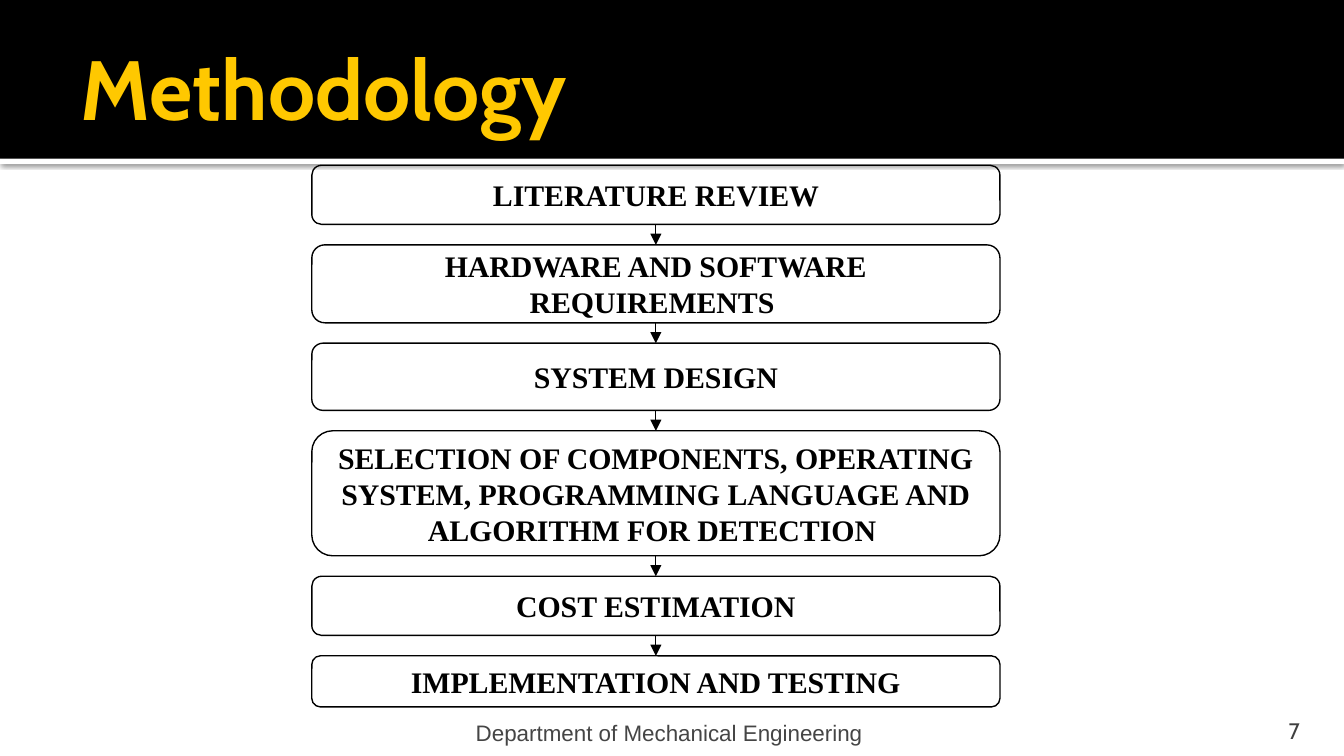
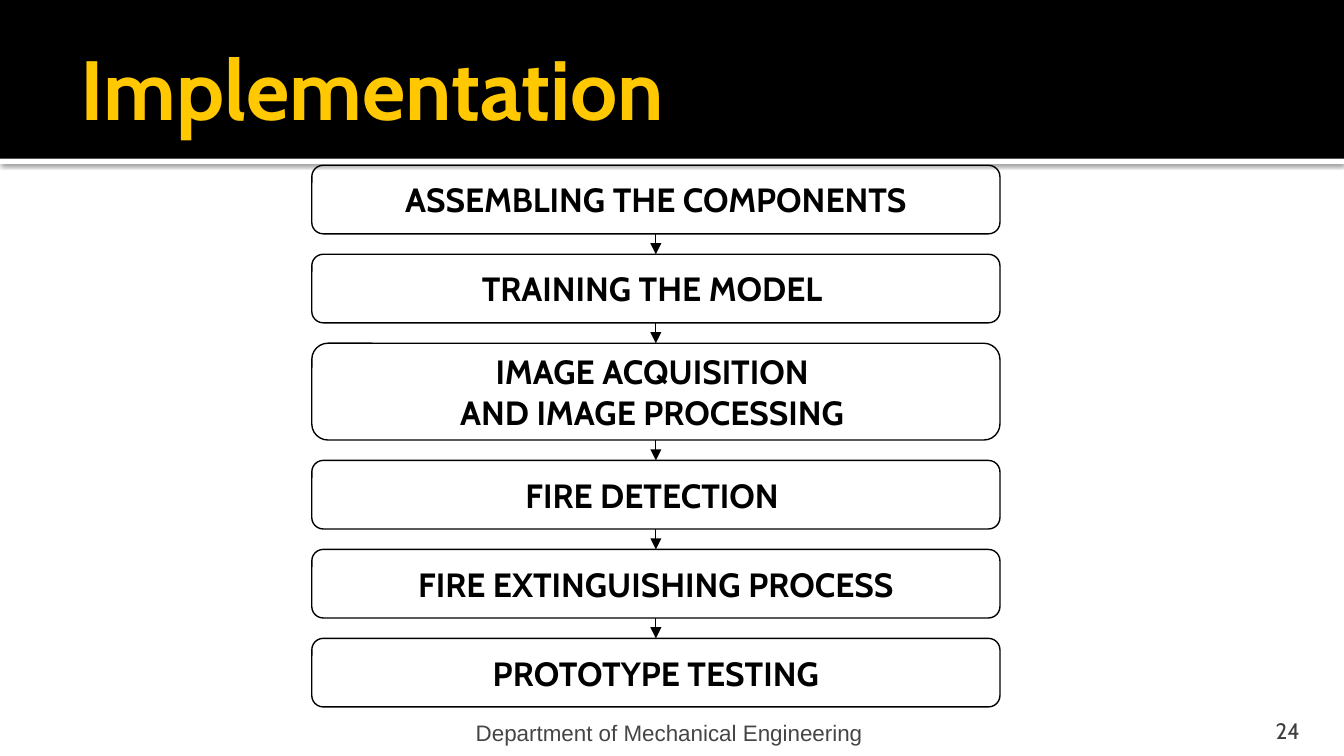
import pptx
import pptx.util
import pptx.dml.color
import pptx.enum.shapes
import pptx.enum.text
import pptx.oxml
import pptx.oxml.ns

Inches, Pt = pptx.util.Inches, pptx.util.Pt
SHAPE = pptx.enum.shapes.MSO_SHAPE
ALIGN = pptx.enum.text.PP_ALIGN
ANCHOR = pptx.enum.text.MSO_ANCHOR
qn = pptx.oxml.ns.qn

# Content: each step is (text, box height)
SLIDES = [
    {"title": "Methodology", "number": "7", "font": "Times New Roman", "size": 16,
     "steps": [(" LITERATURE REVIEW ", 0.44),
               ("HARDWARE AND SOFTWARE REQUIREMENTS ", 0.58),
               ("SYSTEM DESIGN", 0.5),
               ("SELECTION OF COMPONENTS, OPERATING SYSTEM, PROGRAMMING "
                "LANGUAGE AND ALGORITHM FOR DETECTION ", 0.93),
               (" COST ESTIMATION ", 0.44),
               (" IMPLEMENTATION AND TESTING ", 0.38)]},
    {"title": "Implementation", "number": "24", "font": "Cabin", "size": 18,
     "steps": [(" ASSEMBLING THE COMPONENTS ", 0.51),
               ("TRAINING THE MODEL ", 0.51),
               ("IMAGE ACQUISITION \nAND IMAGE PROCESSING ", 0.72),
               ("FIRE DETECTION ", 0.51),
               (" FIRE EXTINGUISHING PROCESS ", 0.51),
               (" PROTOTYPE TESTING ", 0.51)]},
]
FOOTER = "Department of Mechanical Engineering"

# Shared style
BLACK, WHITE, YELLOW = "000000", "FFFFFF", "FFC800"
NUMBER_GREY, FOOTER_GREY = "3F3F3F", "454545"
BAND_H, STRIP_H = 1.18, 0.04
FLOW_LEFT, FLOW_W, FLOW_TOP, FLOW_BOTTOM = 2.32, 5.12, 1.23, 5.26


def rgb(color):
    return pptx.dml.color.RGBColor.from_string(color)


def xml(body):
    return pptx.oxml.parse_xml(body.replace(">", f" {pptx.oxml.ns.nsdecls('a')}>", 1))


def set_text(sp, text, font, size, color, bold=False, align=ALIGN.LEFT,
             anchor=ANCHOR.MIDDLE, insets=(0.1, 0.05, 0.1, 0.05)):
    tf = sp.text_frame
    tf.text = text
    tf.word_wrap = True
    tf.auto_size = pptx.enum.text.MSO_AUTO_SIZE.NONE
    tf.vertical_anchor = anchor
    tf.margin_left, tf.margin_top, tf.margin_right, tf.margin_bottom = map(Inches, insets)
    for p in tf.paragraphs:
        p.alignment = align
        for r in p.runs:
            r.font.name, r.font.size, r.font.bold = font, Pt(size), bold
            r.font.color.rgb = rgb(color)


def add_bands(prs, s):
    """Draw the header bands and move them to the slide master."""
    bands = [(BAND_H, STRIP_H, WHITE), (0, BAND_H, BLACK)]
    for i, (top, height, color) in enumerate(bands):
        sp = s.shapes.add_shape(SHAPE.RECTANGLE, 0, Inches(top), prs.slide_width, Inches(height))
        sp.fill.solid()
        sp.fill.fore_color.rgb = rgb(color)
        sp.line.fill.background()
        sp.shadow.inherit = False
        if color == WHITE:
            sp.element.spPr.find(qn("a:effectLst")).append(xml(
                f'<a:outerShdw blurRad="{Pt(2.5)}" dist="{Pt(0.8)}" dir="5400000">'
                f'<a:srgbClr val="{BLACK}"><a:alpha val="60000"/></a:srgbClr></a:outerShdw>'))
        sp.element.nvSpPr.cNvPr.set("id", str(101 + i))
        prs.slide_master.shapes.element.insert(2 + i, sp.element)


def add_box(s, text, top, height, font, size):
    sp = s.shapes.add_shape(SHAPE.ROUNDED_RECTANGLE, Inches(FLOW_LEFT), Inches(top),
                            Inches(FLOW_W), Inches(height))
    sp.fill.background()
    sp.line.color.rgb = rgb(BLACK)
    sp.line.width = Pt(0.75)
    sp.shadow.inherit = False
    set_text(sp, text, font, size, BLACK, bold=True, align=ALIGN.CENTER)


def add_arrow(s, top, bottom):
    x = Inches(FLOW_LEFT + FLOW_W / 2)
    c = s.shapes.add_connector(pptx.enum.shapes.MSO_CONNECTOR.STRAIGHT,
                               x, Inches(top), x, Inches(bottom))
    c.line.color.rgb = rgb(BLACK)
    c.line.width = Pt(0.5)
    c.element.spPr.find(qn("a:ln")).append(xml('<a:tailEnd type="triangle"></a:tailEnd>'))
    c.element.spPr.append(xml("<a:effectLst></a:effectLst>"))


def add_flow(s, steps, font, size):
    """Stack the boxes with equal gaps and join them with arrows."""
    gap = (FLOW_BOTTOM - FLOW_TOP - sum(h for _, h in steps)) / (len(steps) - 1)
    top = FLOW_TOP
    for i, (text, height) in enumerate(steps):
        if i:
            add_arrow(s, top - gap, top)
        add_box(s, text, top, height, font, size)
        top += height + gap


def add_note(s, box, text, font, color, align, side):
    sp = s.shapes.add_textbox(*map(Inches, box))
    set_text(sp, text, font, 12, color, align=align, anchor=ANCHOR.BOTTOM,
             insets=(side, 0.05, side, 0))


def main():
    prs = pptx.Presentation()
    prs.slide_width = Inches(10)
    prs.slide_height = prs.slide_width * 9 // 16
    for i, data in enumerate(SLIDES):
        s = prs.slides.add_slide(prs.slide_layouts[5])
        if i == 0:
            add_bands(prs, s)

        # Title
        title = s.shapes.title
        title.left, title.top, title.width, title.height = map(Inches, (0.5, 0.13, 9, 1.03))
        set_text(title, data["title"], "Cabin", 45, YELLOW, bold=True,
                 insets=(0.1, 0.05, 0.05, 0.05))

        # Flow chart
        add_flow(s, data["steps"], data["font"], data["size"])

        # Slide number and footer
        add_note(s, (8.97, 5.31, 0.8, 0.23), data["number"], "Cabin", NUMBER_GREY,
                 ALIGN.RIGHT, 0.1)
        add_note(s, (3.49, 5.32, 3.03, 0.23), FOOTER, "Arial", FOOTER_GREY, ALIGN.LEFT, 0.05)
    prs.save("out.pptx")


if __name__ == "__main__":
    main()
